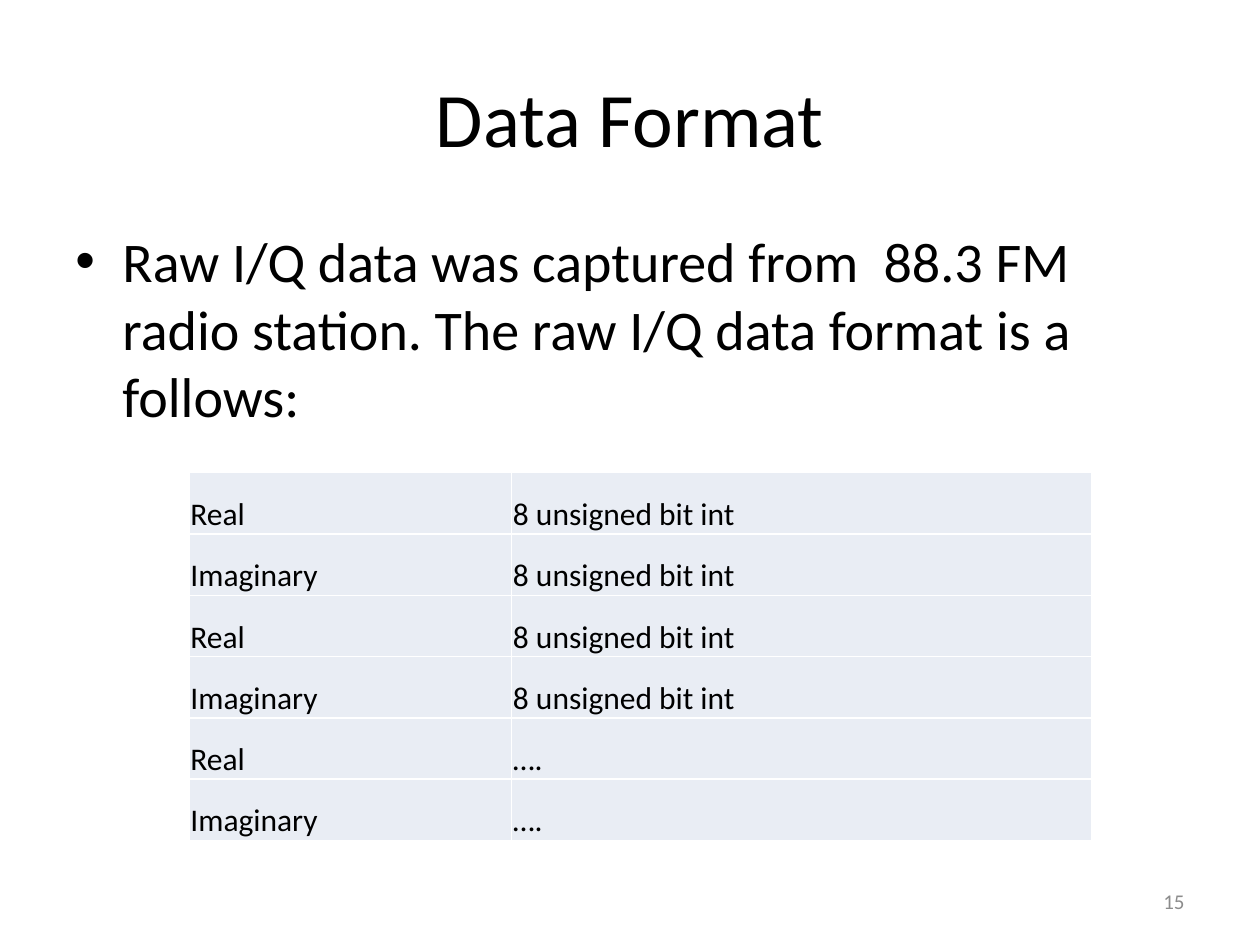
from lxml import etree
from pptx import Presentation
from pptx.dml.color import RGBColor
from pptx.enum.text import MSO_ANCHOR, PP_ALIGN
from pptx.oxml.ns import qn
from pptx.util import Cm, Pt

MIDDLE, BOTTOM, TOP = MSO_ANCHOR.MIDDLE, MSO_ANCHOR.BOTTOM, MSO_ANCHOR.TOP
LEFT, CENTER, RIGHT = PP_ALIGN.LEFT, PP_ALIGN.CENTER, PP_ALIGN.RIGHT
TITLE_ONLY = 5
FONT = "Calibri"
COLORS = {"text": "000000", "number": "8C8C8C", "cell": "E9EDF4", "border": "FFFFFF"}
SAMPLES = [
    ("Real", "8 unsigned bit int"),
    ("Imaginary", "8 unsigned bit int"),
    ("Real", "8 unsigned bit int"),
    ("Imaginary", "8 unsigned bit int"),
    ("Real", "…."),
    ("Imaginary", "…."),
]


def write(frame, text, size, color="text", align=LEFT, anchor=TOP):
    frame.text = text
    frame.word_wrap = True
    frame.vertical_anchor = anchor
    format_paragraph(frame.paragraphs[0], size, color, align)


def format_paragraph(paragraph, size, color="text", align=LEFT):
    paragraph.alignment = align
    for run in paragraph.runs:
        run.font.name = FONT
        run.font.size = Pt(size)
        run.font.color.rgb = RGBColor.from_string(COLORS[color])


def add_title(slide, text):
    title = slide.shapes.title
    title.left, title.top, title.width, title.height = Cm(1.27), Cm(0.76), Cm(22.86), Cm(3.18)
    write(title.text_frame, text, 44, align=CENTER, anchor=MIDDLE)


def add_text(slide, text, box, size, **style):
    textbox = slide.shapes.add_textbox(*(Cm(length) for length in box))
    write(textbox.text_frame, text, size, **style)
    return textbox.text_frame.paragraphs[0]


def add_bullet(paragraph, indent):
    properties = paragraph._p.get_or_add_pPr()
    properties.set("marL", str(indent))
    properties.set("indent", str(-indent))
    etree.SubElement(properties, qn("a:buFont"), typeface="Arial")
    etree.SubElement(properties, qn("a:buChar"), char="•")


def add_borders(cell):
    properties = cell._tc.get_or_add_tcPr()
    # Border lines come before the fill in the cell properties
    for position, side in enumerate(("lnL", "lnR", "lnT", "lnB")):
        line = etree.Element(qn(f"a:{side}"), w=str(Pt(1)))
        fill = etree.SubElement(line, qn("a:solidFill"))
        etree.SubElement(fill, qn("a:srgbClr"), val=COLORS["border"])
        properties.insert(position, line)


def format_cell(cell, text):
    cell.text = text
    cell.vertical_anchor = BOTTOM
    cell.margin_left = cell.margin_right = cell.margin_top = Cm(0.03)
    cell.margin_bottom = 0
    cell.fill.solid()
    cell.fill.fore_color.rgb = RGBColor.from_string(COLORS["cell"])
    add_borders(cell)
    format_paragraph(cell.text_frame.paragraphs[0], 18)


def add_format_table(slide, rows):
    widths = Cm(6.5), Cm(11.7)
    table = slide.shapes.add_table(
        len(rows), len(widths), Cm(3.81), Cm(9.53), sum(widths), Cm(7.41)
    ).table
    table.first_row = table.horz_banding = False
    for column, width in zip(table.columns, widths):
        column.width = width
    for row, texts in zip(table.rows, rows):
        for cell, text in zip(row.cells, texts):
            format_cell(cell, text)


def main():
    presentation = Presentation()
    presentation.slide_width, presentation.slide_height = Cm(25.4), Cm(19.05)
    slide = presentation.slides.add_slide(presentation.slide_layouts[TITLE_ONLY])

    # Title and introduction
    add_title(slide, "Data Format")
    introduction = add_text(
        slide,
        "Raw I/Q data was captured from  88.3 FM radio station. "
        "The raw I/Q data format is a follows:",
        (1.27, 4.45, 22.86, 12.57), 32,
    )
    add_bullet(introduction, Cm(0.95))

    # Sample layout
    add_format_table(slide, SAMPLES)

    # Slide number
    add_text(slide, "15", (18.2, 17.66, 5.93, 1.01), 12,
             color="number", align=RIGHT, anchor=MIDDLE)

    presentation.save("out.pptx")


if __name__ == "__main__":
    main()
